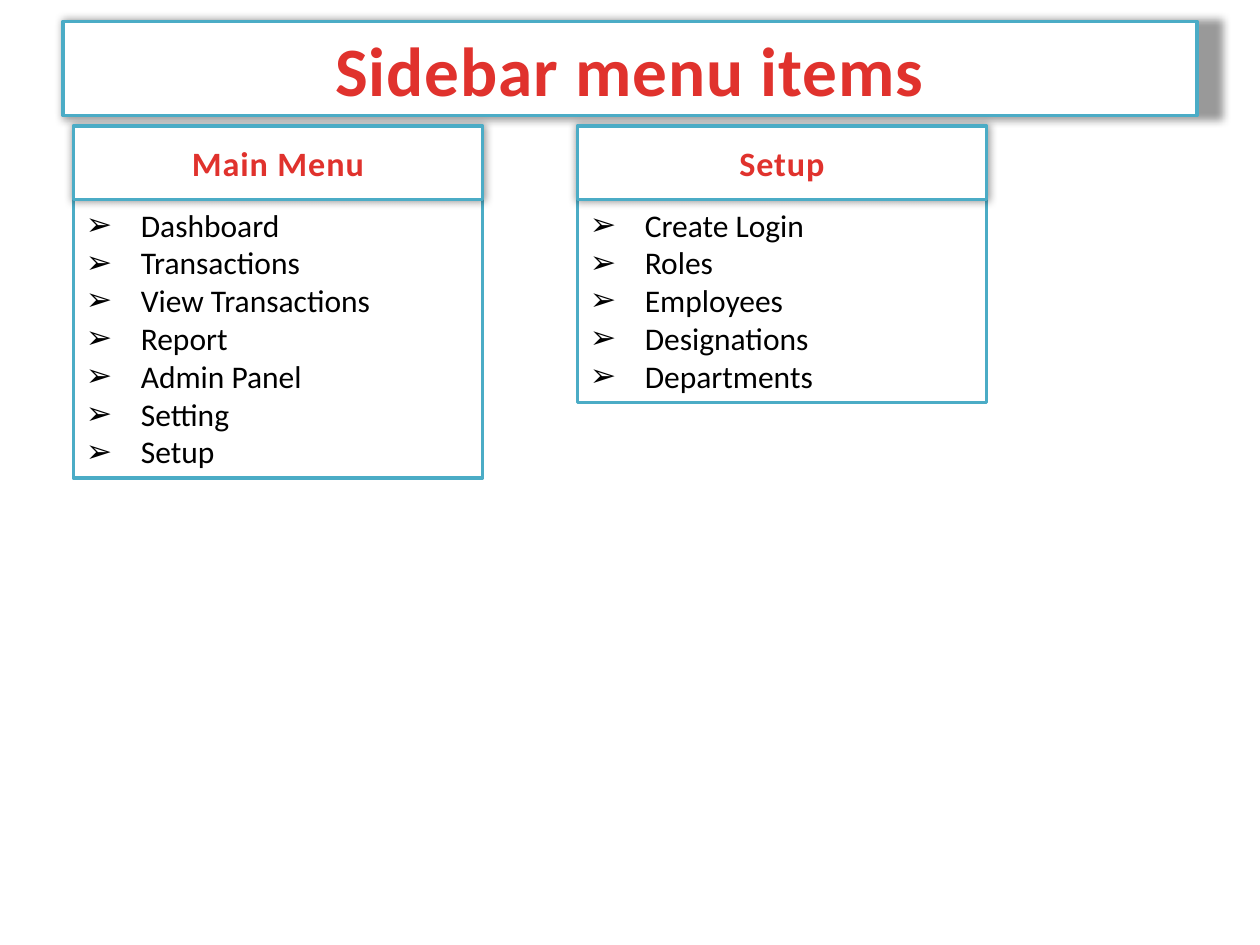
from lxml import etree
from pptx import Presentation, util as u
from pptx.dml.color import RGBColor
from pptx.enum import shapes, text
from pptx.oxml.ns import qn

MENUS = [
    ("Main Menu", ["Dashboard", "Transactions", "View Transactions", "Report",
                   "Admin Panel", "Setting", "Setup"]),
    ("Setup", ["Create Login", "Roles", "Employees", "Designations", "Departments"]),
]
WHITE, TEAL, RED, BLACK = "FFFFFF", "4BACC6", "E0322D", "000000"
MENU_LEFT, MENU_STEP, MENU_WIDTH = 1.48, 10.16, 8.25
HEADER_TOP, HEADER_HEIGHT = 2.54, 1.48
LINE_HEIGHT, LIST_PADDING = 0.76, 0.3
INDENT = u.Cm(1.11)


def color(value):
    return RGBColor.from_string(value)


def add_box(slide, left, top, width, height):
    shape = slide.shapes.add_shape(shapes.MSO_SHAPE.RECTANGLE, u.Cm(left), u.Cm(top),
                                   u.Cm(width), u.Cm(height))
    shape.shadow.inherit = False
    shape.fill.solid()
    shape.fill.fore_color.rgb = color(WHITE)
    shape.line.color.rgb = color(TEAL)
    shape.line.width = u.Pt(2)
    shape.text_frame.word_wrap = True
    return shape


def format_run(run, size, ink, bold=False):
    run.font.name = "Calibri"
    run.font.size = u.Pt(size)
    run.font.bold = bold
    run.font.color.rgb = color(ink)


def add_shadow(shape, scale):
    effects = shape._element.spPr.find(qn("a:effectLst"))
    shadow = etree.SubElement(effects, qn("a:outerShdw"), blurRad=str(u.Pt(5)),
                              sx=str(scale * 1000), sy=str(scale * 1000), algn="tl")
    ink = etree.SubElement(shadow, qn("a:srgbClr"), val=BLACK)
    etree.SubElement(ink, qn("a:alpha"), val="40000")


def add_heading(slide, wording, box, size, shadow_scale=100):
    shape = add_box(slide, *box)
    add_shadow(shape, shadow_scale)
    frame = shape.text_frame
    frame.text = wording
    frame.vertical_anchor = text.MSO_ANCHOR.MIDDLE
    paragraph = frame.paragraphs[0]
    paragraph.alignment = text.PP_ALIGN.CENTER
    run = paragraph.runs[0]
    format_run(run, size, RED, bold=True)
    run.font._element.set("spc", "50")


def add_bullet(paragraph):
    properties = paragraph._p.get_or_add_pPr()
    properties.set("marL", str(INDENT))
    properties.set("indent", str(-INDENT))
    etree.SubElement(properties, qn("a:buFont"), typeface="Arial")
    etree.SubElement(properties, qn("a:buChar"), char="➢")


def add_list(slide, items, box):
    frame = add_box(slide, *box).text_frame
    frame.text = "\n".join(items)
    frame.vertical_anchor = text.MSO_ANCHOR.TOP
    frame.auto_size = text.MSO_AUTO_SIZE.SHAPE_TO_FIT_TEXT
    for paragraph in frame.paragraphs:
        paragraph.alignment = text.PP_ALIGN.LEFT
        add_bullet(paragraph)
        format_run(paragraph.runs[0], 18, BLACK)


def add_menu(slide, left, heading, items):
    list_height = LIST_PADDING + LINE_HEIGHT * len(items)
    add_list(slide, items, (left, HEADER_TOP + HEADER_HEIGHT, MENU_WIDTH, list_height))
    add_heading(slide, heading, (left, HEADER_TOP, MENU_WIDTH, HEADER_HEIGHT), 19.5)


def main():
    presentation = Presentation()
    presentation.slide_width = u.Cm(25.4)
    presentation.slide_height = u.Cm(19.05)
    slide = presentation.slides.add_slide(presentation.slide_layouts[6])
    add_heading(slide, "Sidebar menu items", (1.27, 0.43, 22.86, 1.9), 39.6, 102)
    for index, (heading, items) in enumerate(MENUS):
        add_menu(slide, MENU_LEFT + index * MENU_STEP, heading, items)
    presentation.save("out.pptx")


main()
